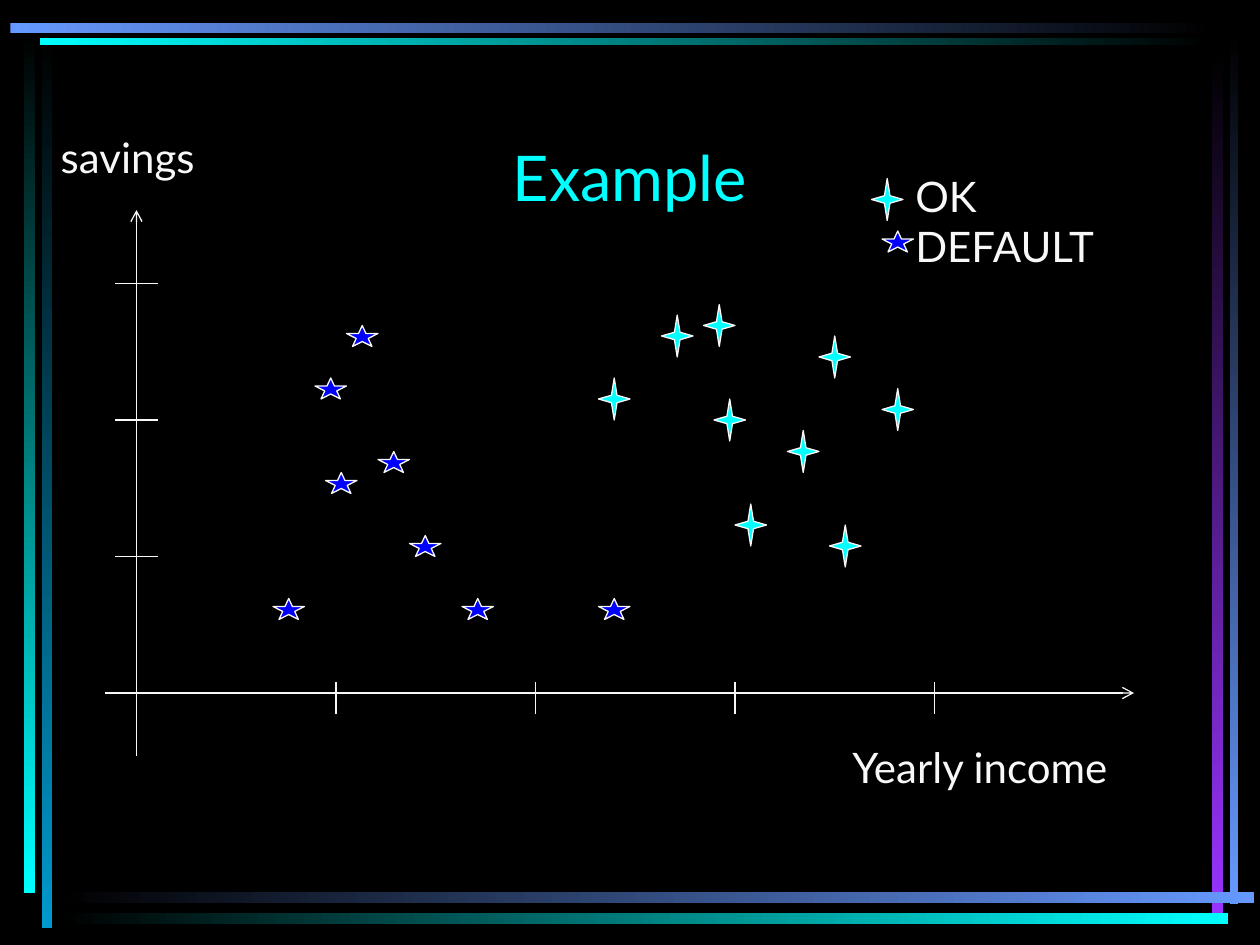
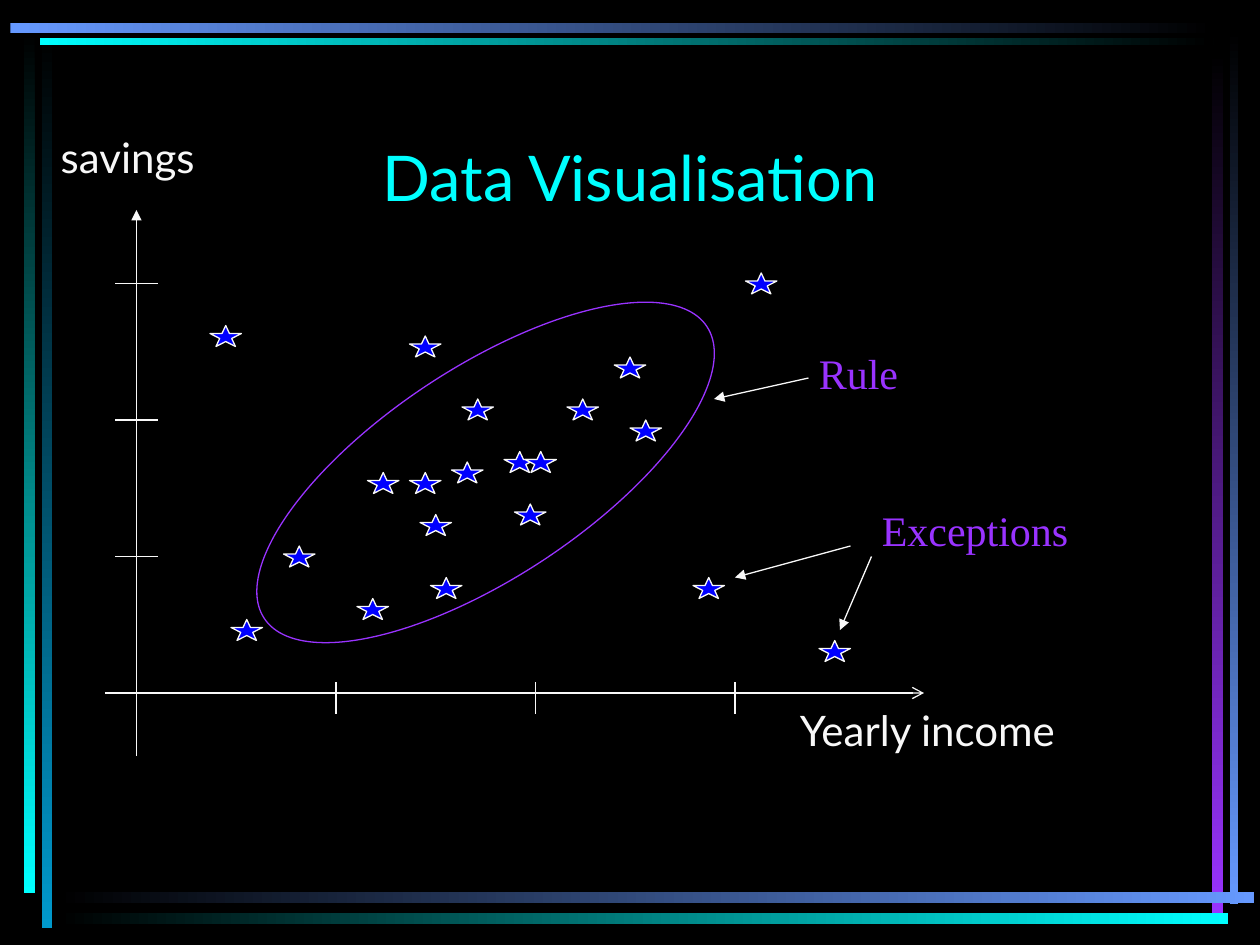
from lxml import etree
from pptx import Presentation
from pptx import util as u
from pptx.dml.color import RGBColor
from pptx.enum import shapes, text
from pptx.oxml.ns import qn

PX = 7620  # EMU per px: 120 px to the inch
BLACK, WHITE, CYAN = "000000", "F8F8F8", "00FFFF"
BLUE, PURPLE, PERIWINKLE, TEAL = "0000FF", "9933FF", "6699FF", "0099CC"
SANS, SERIF = "Lato", "Times New Roman"
ORIGIN_X, ORIGIN_Y = 130, 660
STEP_X, STEP_Y = 190, 130

# left, top, width, height, start colour, end colour
FRAME_BANDS = [
    (40, 34, 10, 850, BLACK, TEAL),
    (23, 30, 10, 821, BLACK, CYAN),
    (1171, 29, 8, 832, BLACK, PERIWINKLE),
    (1154, 50, 11, 820, BLACK, PURPLE),
    (54, 850, 1140, 10, BLACK, PERIWINKLE),
    (54, 870, 1116, 10, BLACK, CYAN),
    (38, 36, 1118, 7, CYAN, BLACK),
    (10, 22, 1147, 9, PERIWINKLE, BLACK),
]

DEFAULT_CASES = [(330, 310), (300, 360), (310, 450), (360, 430),
                 (390, 510), (260, 570), (440, 570), (570, 570)]
OK_CASES = [(670, 290), (570, 360), (700, 480), (780, 320), (680, 380),
            (840, 370), (630, 300), (750, 410), (790, 500)]
RULE_CASES = [(480, 430), (440, 380), (500, 430), (410, 550), (490, 480),
              (600, 400), (540, 380), (390, 450), (340, 570), (400, 490),
              (270, 520), (585, 340), (350, 450), (430, 440)]
EXCEPTION_CASES = [(390, 320), (780, 610), (200, 310), (660, 550),
                   (220, 590), (710, 260)]


def px(*lengths):
    return [u.Emu(length * PX) for length in lengths]


def color(hex_string):
    return RGBColor.from_string(hex_string)


def write_text(frame, content, size=24, font=SANS, fill=WHITE,
               align=text.PP_ALIGN.LEFT, anchor=text.MSO_ANCHOR.TOP):
    """Write each line of content as one formatted paragraph."""
    frame.text = content
    frame.vertical_anchor = anchor
    for paragraph in frame.paragraphs:
        paragraph.alignment = align
        paragraph.font.size = u.Pt(size)
        paragraph.font.name = font
        paragraph.font.color.rgb = color(fill)


def add_label(slide, content, left, top, width, height=60, **text_format):
    frame = slide.shapes.add_textbox(*px(left, top, width, height)).text_frame
    frame.word_wrap = False
    frame.auto_size = text.MSO_AUTO_SIZE.SHAPE_TO_FIT_TEXT
    write_text(frame, content, **text_format)


def add_outlined(slide, preset, left, top, width, height, line=WHITE, fill=None):
    shape = slide.shapes.add_shape(preset, *px(left, top, width, height))
    shape.shadow.inherit = False
    shape.line.color.rgb = color(line)
    shape.line.width = u.Pt(0.75)
    if fill:
        shape.fill.solid()
        shape.fill.fore_color.rgb = color(fill)
    else:
        shape.fill.background()
    return shape


def add_default_star(slide, left, top):
    add_outlined(slide, shapes.MSO_SHAPE.STAR_5_POINT, left, top, 30, 20, fill=BLUE)


def add_ok_star(slide, left, top):
    star = add_outlined(slide, shapes.MSO_SHAPE.STAR_4_POINT, left, top, 30, 40, fill=CYAN)
    star.adjustments[0] = 0.125


def add_line(slide, x1, y1, x2, y2, arrowhead=None):
    """Draw a thin line; arrowhead names the tip at its end, if any."""
    line = slide.shapes.add_connector(shapes.MSO_CONNECTOR.STRAIGHT, *px(x1, y1, x2, y2))
    line.line.color.rgb = color(WHITE)
    line.line.width = u.Pt(0.75)
    if arrowhead:
        etree.SubElement(line.line._get_or_add_ln(), qn("a:tailEnd"), type=arrowhead)
    etree.SubElement(line.element.spPr, qn("a:effectLst"))


def add_axes(slide, income_end, income_ticks, savings_tip):
    add_line(slide, ORIGIN_X, 720, ORIGIN_X, 200, savings_tip)
    add_line(slide, 100, ORIGIN_Y, income_end, ORIGIN_Y, "arrow")
    for i in range(1, income_ticks + 1):
        x = ORIGIN_X + i * STEP_X
        add_line(slide, x, ORIGIN_Y - 10, x, ORIGIN_Y + 20)
    for i in range(1, 4):
        y = ORIGIN_Y - i * STEP_Y
        add_line(slide, ORIGIN_X - 20, y, ORIGIN_X + 20, y)
    add_label(slide, "savings", 46, 119, 164)


def add_band(slide, left, top, width, height, start, end):
    band = slide.shapes.add_shape(shapes.MSO_SHAPE.RECTANGLE, *px(left, top, width, height))
    band.shadow.inherit = False
    band.line.fill.background()
    band.fill.gradient()
    band.fill.gradient_angle = 0 if width > height else 270
    for stop, stop_color in zip(band.fill.gradient_stops, (start, end)):
        stop.color.rgb = color(stop_color)
    return band


def style_master(master, slide):
    """Set the background and move the frame bands from slide to master."""
    master.background.fill.solid()
    master.background.fill.fore_color.rgb = color(BLACK)
    for band in FRAME_BANDS:
        master.shapes.element.append(add_band(slide, *band).element)


def add_titled_slide(presentation, title_text):
    slide = presentation.slides.add_slide(presentation.slide_layouts[5])
    title = slide.shapes.title
    title.left, title.top, title.width, title.height = px(90, 80, 1020, 130)
    title.text_frame.auto_size = text.MSO_AUTO_SIZE.NONE
    write_text(title.text_frame, title_text, size=36, fill=CYAN,
               align=text.PP_ALIGN.CENTER, anchor=text.MSO_ANCHOR.BOTTOM)
    return slide


def fill_example(slide):
    add_axes(slide, income_end=1080, income_ticks=4, savings_tip="arrow")
    add_label(slide, "Yearly income", 800, 700, 287)
    for position in DEFAULT_CASES:
        add_default_star(slide, *position)
    for position in OK_CASES:
        add_ok_star(slide, *position)
    add_label(slide, "OK\nDEFAULT", 860, 156, 194, 108, anchor=text.MSO_ANCHOR.MIDDLE)
    add_default_star(slide, 840, 220)
    add_ok_star(slide, 830, 170)


def fill_visualisation(slide):
    add_axes(slide, income_end=880, income_ticks=3, savings_tip="triangle")
    add_label(slide, "Yearly income", 750, 665, 287)
    rule = add_outlined(slide, shapes.MSO_SHAPE.OVAL, 210, 350, 505, 200, line=PURPLE)
    rule.rotation = 326.6
    for position in RULE_CASES + EXCEPTION_CASES:
        add_default_star(slide, *position)
    add_label(slide, "Rule", 768, 325, 100, font=SERIF, fill=PURPLE)
    add_label(slide, "Exceptions", 828, 475, 202, font=SERIF, fill=PURPLE)
    for pointer in [(770, 360, 680, 380), (810, 520, 700, 550), (830, 530, 800, 600)]:
        add_line(slide, *pointer, arrowhead="triangle")


def main():
    presentation = Presentation()
    presentation.slide_width, presentation.slide_height = px(1200, 900)
    example = add_titled_slide(presentation, "Example")
    style_master(presentation.slide_master, example)
    fill_example(example)
    fill_visualisation(add_titled_slide(presentation, "Data Visualisation"))
    presentation.save("out.pptx")


if __name__ == "__main__":
    main()
